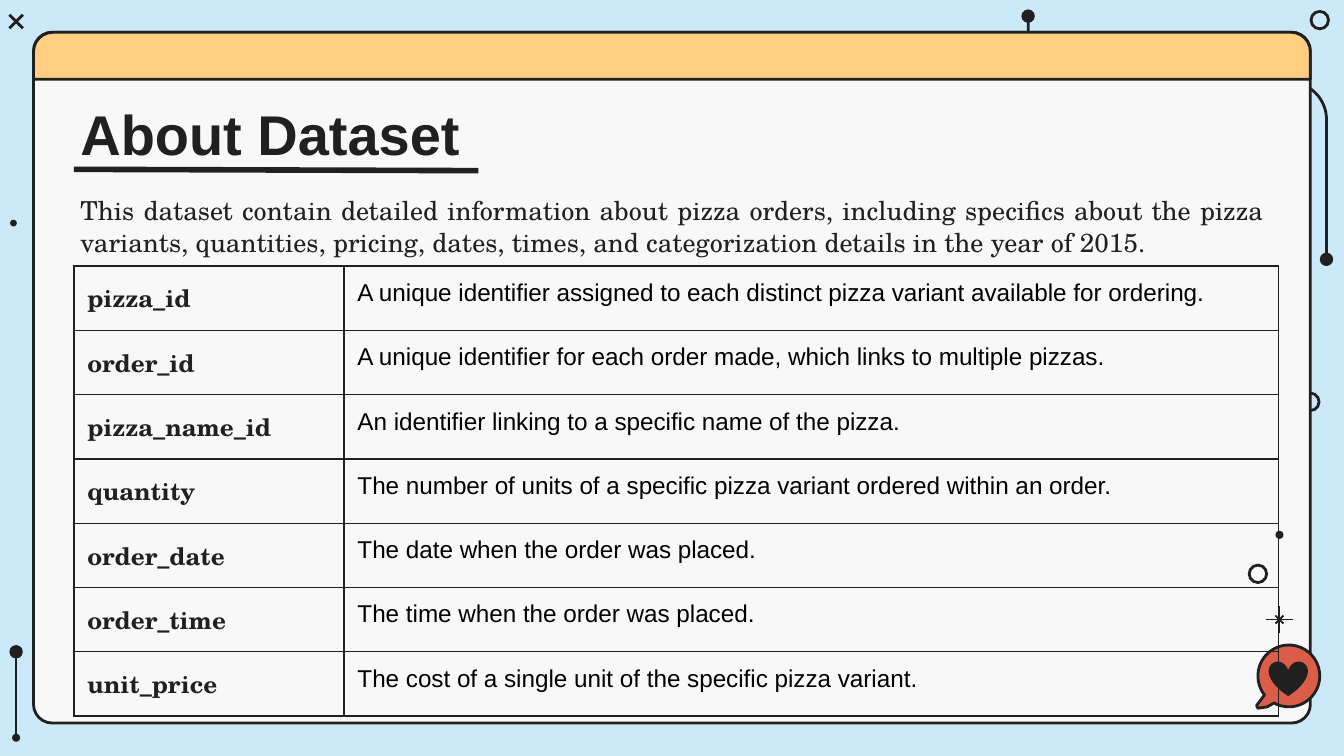
"""Build the dataset overview slide with its field table."""
import math

from lxml import etree
from pptx import Presentation
from pptx import util as u
from pptx.dml.color import RGBColor
from pptx.enum import shapes, text
from pptx.oxml import ns

INK = RGBColor(0x20, 0x20, 0x20)
BLACK = RGBColor(0x00, 0x00, 0x00)
SKY = RGBColor(0xCC, 0xE9, 0xFA)
PAPER = RGBColor(0xF8, 0xF8, 0xF8)
AMBER = RGBColor(0xFF, 0xCF, 0x81)
CORAL = RGBColor(0xDB, 0x5D, 0x49)
SANS, SERIF = "Arial", "TeX Gyre Schola"

FIELDS = [
    ("pizza_id", "A unique identifier assigned to each distinct pizza variant available for ordering."),
    ("order_id", "A unique identifier for each order made, which links to multiple pizzas."),
    ("pizza_name_id", "An identifier linking to a specific name of the pizza."),
    ("quantity", "The number of units of a specific pizza variant ordered within an order."),
    ("order_date", "The date when the order was placed."),
    ("order_time", "The time when the order was placed."),
    ("unit_price", "The cost of a single unit of the specific pizza variant."),
]
INTRO = (
    "This dataset contain detailed information about pizza orders, including specifics about "
    "the pizza variants, quantities, pricing, dates, times, and categorization details in the year of 2015."
)


def write(frame, words, size=13, font=SANS, color=INK, bold=False, align=text.PP_ALIGN.LEFT):
    para = frame.paragraphs[0]
    para.alignment = align
    span = para.add_run()
    span.text = words
    span.font.size = u.Pt(size)
    span.font.name = font
    span.font.bold = bold
    span.font.color.rgb = color


def arc(x, y, radius, start, end, steps=24):
    angles = [math.radians(start + (end - start) * step / steps) for step in range(steps + 1)]
    return [(x + radius * math.cos(angle), y + radius * math.sin(angle)) for angle in angles]


class Painter:
    def __init__(self, page, ink=INK, weight=1.5):
        self.page = page
        self.ink = ink
        self.weight = weight

    def finish(self, shape, fill, outlined):
        shape.shadow.inherit = False
        if fill is None:
            shape.fill.background()
        else:
            shape.fill.solid()
            shape.fill.fore_color.rgb = fill
        if outlined:
            shape.line.color.rgb = self.ink
            shape.line.width = u.Pt(self.weight)
        else:
            shape.line.fill.background()

    def shape(self, kind, left, top, width, height, fill=None, outlined=True, adjust=()):
        shape = self.page.shapes.add_shape(
            kind, u.Inches(left), u.Inches(top), u.Inches(width), u.Inches(height))
        for index, value in enumerate(adjust):
            shape.adjustments[index] = value
        self.finish(shape, fill, outlined)

    def dot(self, x, y, size):
        self.shape(shapes.MSO_SHAPE.OVAL, x - size / 2, y - size / 2, size, size, self.ink, False)

    def ring(self, x, y, size=0.13):
        self.shape(shapes.MSO_SHAPE.OVAL, x - size / 2, y - size / 2, size, size)

    def line(self, x1, y1, x2, y2, weight=None):
        line = self.page.shapes.add_connector(
            shapes.MSO_CONNECTOR.STRAIGHT, u.Inches(x1), u.Inches(y1), u.Inches(x2), u.Inches(y2))
        line.line.color.rgb = self.ink
        line.line.width = u.Pt(weight or self.weight)
        etree.SubElement(line._element.spPr, ns.qn("a:effectLst"))

    def cross(self, x, y, reach, weight=None):
        self.line(x - reach, y + reach, x + reach, y - reach, weight)
        self.line(x + reach, y + reach, x - reach, y - reach, weight)

    def outline(self, points, fill=None, close=True):
        corners = [(u.Inches(x), u.Inches(y)) for x, y in points]
        builder = self.page.shapes.build_freeform(*corners[0])
        builder.add_line_segments(corners[1:], close=close)
        self.finish(builder.convert_to_shape(), fill, True)

    def text(self, words, left, top, width, height, **style):
        box = self.page.shapes.add_textbox(
            u.Inches(left), u.Inches(top), u.Inches(width), u.Inches(height))
        frame = box.text_frame
        frame.word_wrap = True
        frame.margin_left = frame.margin_right = u.Inches(0.1)
        frame.margin_top = frame.margin_bottom = u.Inches(0.1)
        write(frame, words, **style)

    def border(self, cell, weight=0.75):
        props = cell._tc.get_or_add_tcPr()
        for side in ("a:lnL", "a:lnR", "a:lnT", "a:lnB"):
            edge = etree.SubElement(props, ns.qn(side), w=str(u.Pt(weight)))
            paint = etree.SubElement(edge, ns.qn("a:solidFill"))
            etree.SubElement(paint, ns.qn("a:srgbClr"), val=str(self.ink))

    def table(self, rows, left, top, widths, height):
        table = self.page.shapes.add_table(
            len(rows), len(widths), u.Inches(left), u.Inches(top),
            u.Inches(sum(widths)), u.Inches(height)).table
        table.first_row = table.horz_banding = False
        for column, width in zip(table.columns, widths):
            column.width = u.Inches(width)
        styles = (
            (text.MSO_ANCHOR.MIDDLE, dict(font=SERIF, bold=True)),
            (text.MSO_ANCHOR.TOP, dict(color=BLACK)),
        )
        for row, entries in enumerate(rows):
            for column, (words, (anchor, style)) in enumerate(zip(entries, styles)):
                cell = table.cell(row, column)
                cell.margin_left = cell.margin_right = u.Inches(0.1)
                cell.margin_top = cell.margin_bottom = u.Inches(0.1)
                cell.vertical_anchor = anchor
                self.border(cell)
                cell.fill.background()
                write(cell.text_frame, words, **style)


def draw_backdrop(painter):
    painter.ring(9.75, 2.99)
    painter.dot(7.65, 0.12, 0.1)
    painter.outline(
        [(7.65, 0.12), (7.65, 0.61), *arc(9.59, 0.89, 0.28, -90, 0), (9.87, 1.93)], close=False)
    painter.dot(9.87, 1.93, 0.1)
    painter.dot(0.12, 4.85, 0.1)
    painter.line(0.12, 4.85, 0.12, 5.49)
    painter.dot(0.12, 5.49, 0.06)
    painter.cross(0.12, 0.16, 0.05)
    painter.ring(9.82, 0.15)
    painter.dot(0.1, 1.66, 0.05)
    painter.shape(shapes.MSO_SHAPE.ROUNDED_RECTANGLE, 0.25, 0.24, 9.5, 5.14, PAPER, adjust=(0.027,))
    painter.shape(shapes.MSO_SHAPE.ROUND_2_SAME_RECTANGLE, 0.25, 0.24, 9.5, 0.35, AMBER, adjust=(0.411, 0))


def draw_ornaments(painter):
    tail = [(9.35, 5.25), (9.36, 5.27), (9.43, 5.26)]
    painter.outline(tail + arc(9.59, 5.03, 0.23, 119, -218, 48), CORAL)
    painter.shape(shapes.MSO_SHAPE.HEART, 9.44, 4.92, 0.29, 0.26, INK, False)
    painter.ring(9.36, 4.27)
    painter.dot(9.52, 3.98, 0.06)
    painter.line(9.52, 4.51, 9.52, 4.71, 1)
    painter.line(9.42, 4.61, 9.62, 4.61, 1)
    painter.cross(9.52, 4.61, 0.03, 1)


def main():
    deck = Presentation()
    deck.slide_width = u.Inches(10)
    deck.slide_height = deck.slide_width * 9 // 16
    page = deck.slides.add_slide(deck.slide_layouts[6])
    page.background.fill.solid()
    page.background.fill.fore_color.rgb = SKY
    painter = Painter(page)
    draw_backdrop(painter)
    draw_ornaments(painter)
    painter.text("About Dataset", 0.5, 0.64, 8.13, 0.63, size=30, bold=True)
    painter.text(INTRO, 0.5, 1.35, 9.01, 0.63, size=14, font=SERIF, align=text.PP_ALIGN.JUSTIFY)
    painter.line(0.55, 1.26, 3.56, 1.27, 3)
    painter.table(FIELDS, 0.55, 1.98, (2.01, 6.95), 3.35)
    deck.save("out.pptx")


if __name__ == "__main__":
    main()
